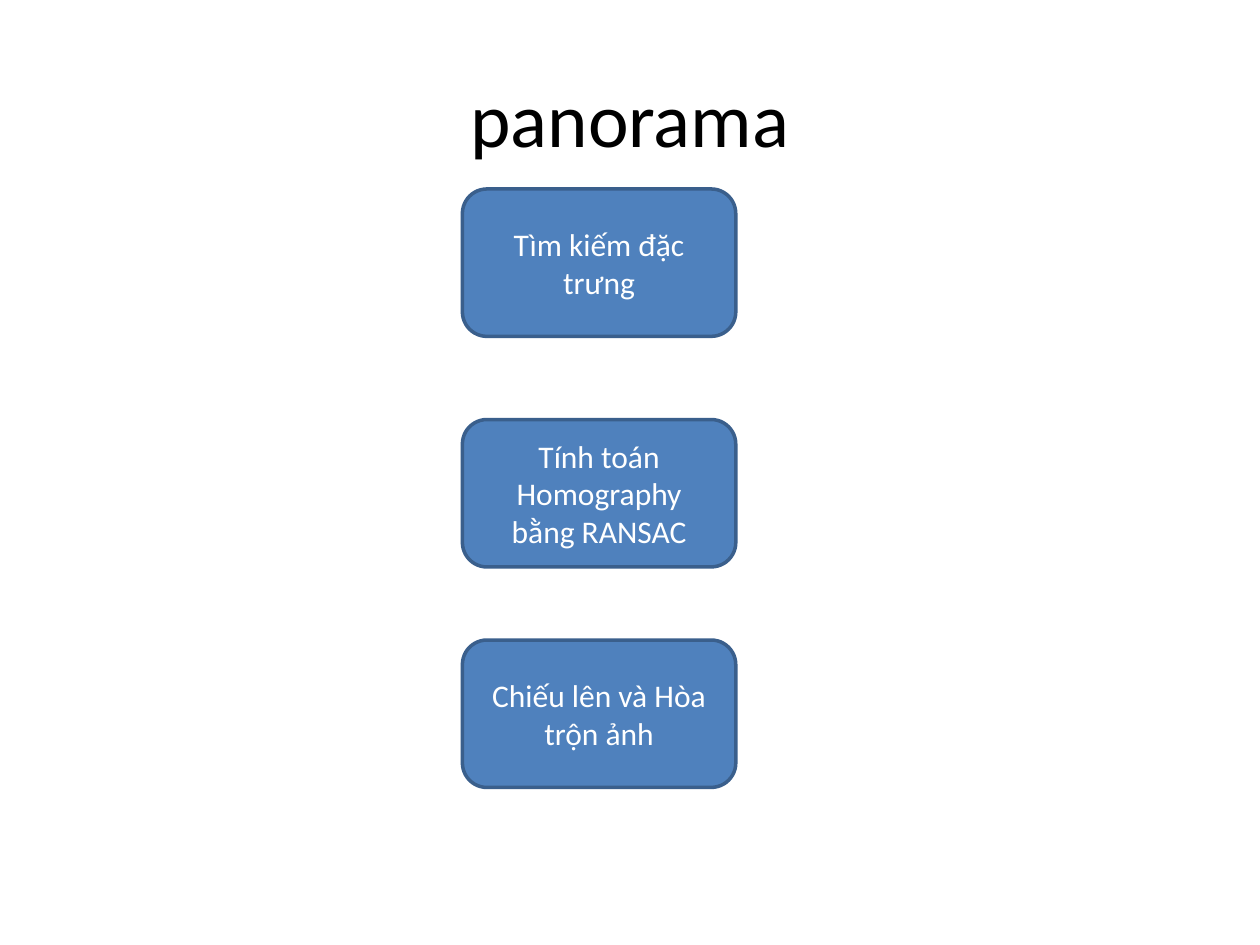
"""Builds a slide listing the three steps of panorama stitching."""
from pptx import Presentation
from pptx import util as u
from pptx.dml.color import RGBColor
from pptx.enum import shapes, text

COLORS = {"title": "000000", "step": "4F81BD", "border": "3A5F8C", "label": "FFFFFF"}
STEPS = [
    (1.5, "Tìm kiếm đặc trưng"),
    (3.33, "Tính toán Homography bằng RANSAC"),
    (5.08, "Chiếu lên và Hòa trộn ảnh"),
]


def color(name):
    return RGBColor.from_string(COLORS[name])


def write(frame, wording, *, size, ink, font="Calibri"):
    frame.word_wrap = True
    frame.vertical_anchor = text.MSO_ANCHOR.MIDDLE
    line = frame.paragraphs[0]
    line.alignment = text.PP_ALIGN.CENTER
    run = line.add_run()
    run.text = wording
    run.font.name = font
    run.font.size = u.Pt(size)
    run.font.color.rgb = color(ink)


def add_title(slide, wording):
    title = slide.shapes.add_textbox(
        u.Inches(0.5), u.Inches(0.3), u.Inches(9), u.Inches(1.25))
    write(title.text_frame, wording, size=44, ink="title")


def add_step(slide, top, wording):
    step = slide.shapes.add_shape(
        shapes.MSO_SHAPE.ROUNDED_RECTANGLE,
        u.Inches(3.67), u.Inches(top), u.Inches(2.17), u.Inches(1.17))
    step.shadow.inherit = False
    step.fill.solid()
    step.fill.fore_color.rgb = color("step")
    step.line.color.rgb = color("border")
    step.line.width = u.Pt(2)
    write(step.text_frame, wording, size=18, ink="label")


def main():
    deck = Presentation()
    deck.slide_width, deck.slide_height = u.Inches(10), u.Inches(7.5)
    slide = deck.slides.add_slide(deck.slide_layouts[6])
    add_title(slide, "panorama")
    for top, wording in STEPS:
        add_step(slide, top, wording)
    deck.save("out.pptx")


main()
